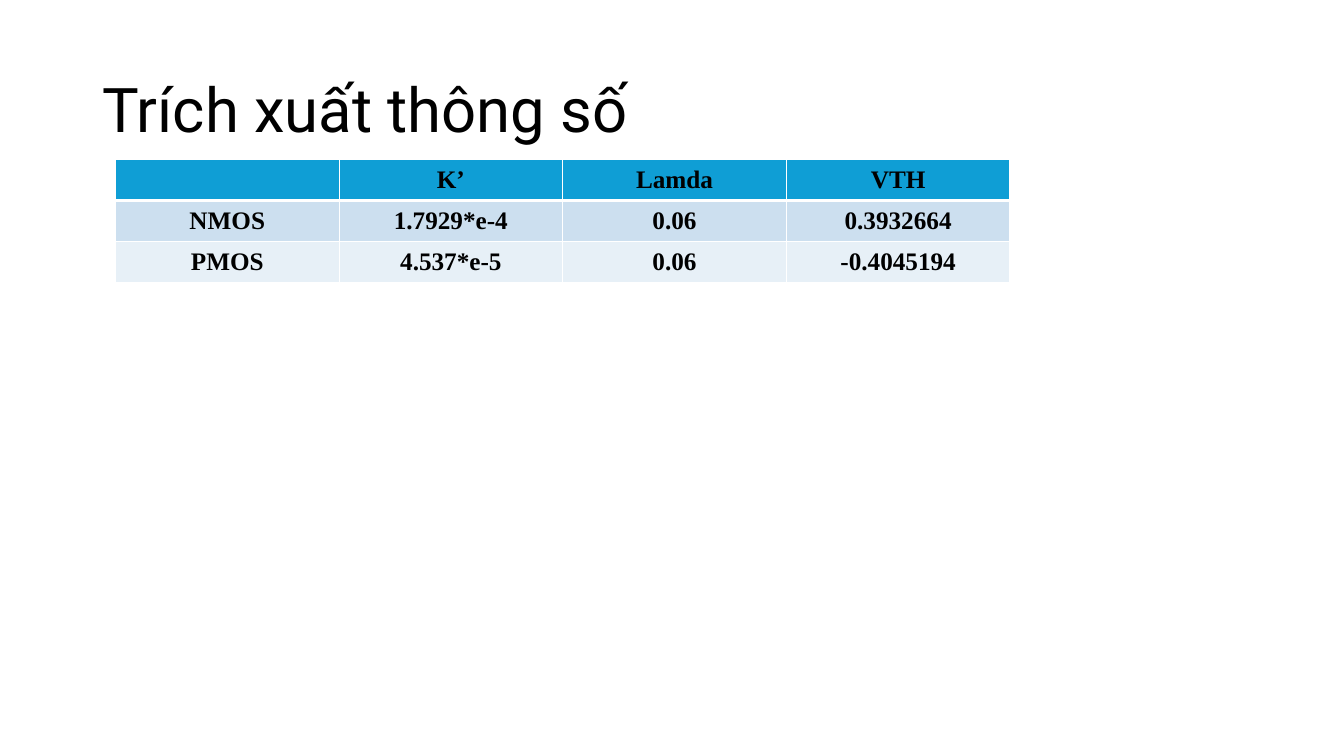
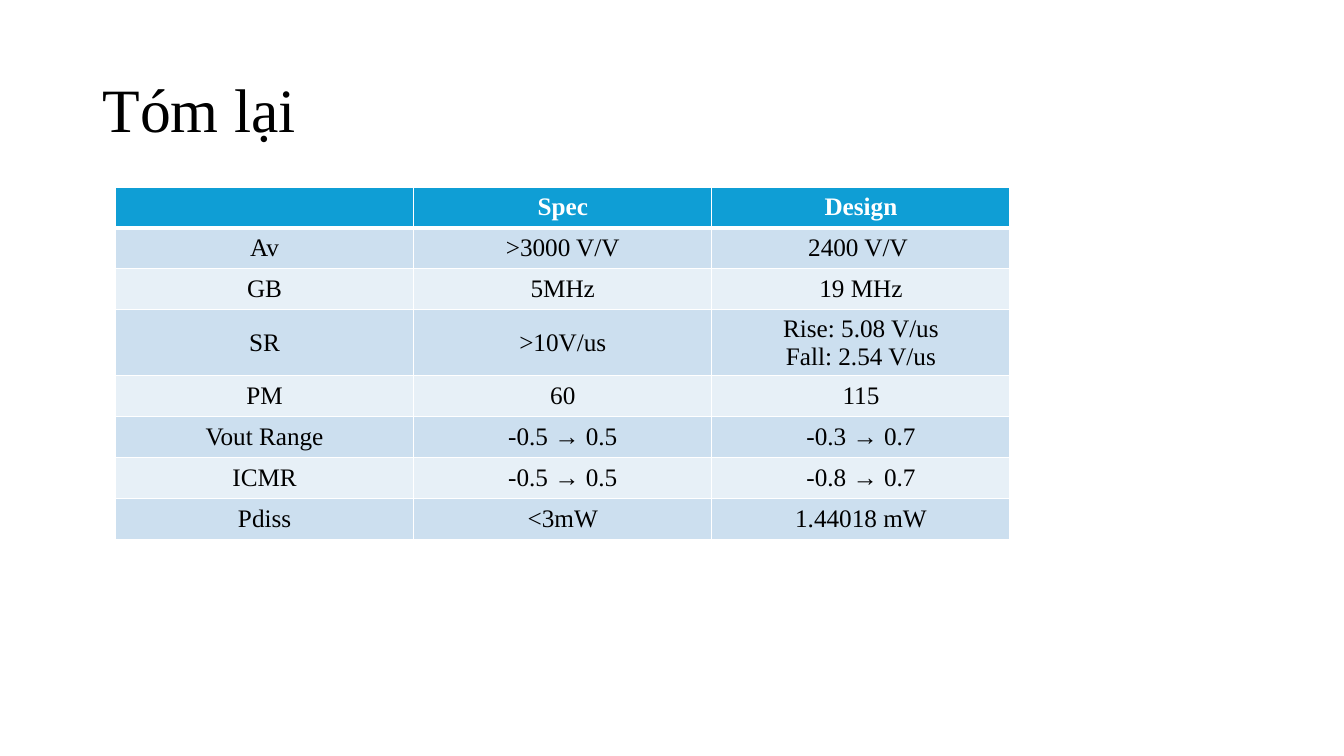
from lxml.etree import SubElement
from pptx import Presentation
from pptx.dml.color import RGBColor
from pptx.enum.text import MSO_ANCHOR, MSO_AUTO_SIZE, PP_ALIGN
from pptx.oxml.ns import qn
from pptx.util import Emu, Pt

# Shared style
COLORS = {
    "text": "000000",
    "white": "FFFFFF",
    "header": "0F9ED5",
    "band_dark": "CCDFEF",
    "band_light": "E7F0F7",
}
SERIF = "Times New Roman"
SANS = "Roboto"
TITLE_BOX = (88, 38, 1104, 139)
TABLE_LEFT, TABLE_WIDTH, ROW_HEIGHT = 110, 852, 39

# Table contents, header row first
PARAMETERS = [
    ["", "K’", "Lamda", "VTH"],
    ["NMOS", "1.7929*e-4", "0.06", "0.3932664"],
    ["PMOS", "4.537*e-5", "0.06", "-0.4045194"],
]
SUMMARY = [
    ["", "Spec", "Design"],
    ["Av", ">3000 V/V", "2400 V/V "],
    ["GB", "5MHz", "19 MHz"],
    ["SR", ">10V/us", "Rise: 5.08 V/us\nFall: 2.54 V/us"],
    ["PM", "60", "115"],
    ["Vout Range", "-0.5 → 0.5", "-0.3 → 0.7"],
    ["ICMR", "-0.5 → 0.5", "-0.8 → 0.7"],
    ["Pdiss", "<3mW", "1.44018 mW"],
]


def px(n):
    """Lengths are in px, 96 to the inch."""
    return Emu(n * 9525)


def rgb(name):
    return RGBColor.from_string(COLORS[name])


def add_run(p, text, size, font, color, bold=False):
    r = p.add_run()
    r.text = text
    r.font.size = Pt(size)
    r.font.name = font
    r.font.bold = bold
    r.font.color.rgb = rgb(color)


def add_titled_slide(prs, title, font):
    s = prs.slides.add_slide(prs.slide_layouts[5])
    sp = s.shapes.title
    sp.left, sp.top, sp.width, sp.height = map(px, TITLE_BOX)
    tf = sp.text_frame
    tf.word_wrap = True
    tf.auto_size = MSO_AUTO_SIZE.NONE
    tf.vertical_anchor = MSO_ANCHOR.MIDDLE
    p = tf.paragraphs[0]
    p.alignment = PP_ALIGN.LEFT
    p.line_spacing = 0.9
    add_run(p, title, 44, font, "text")
    return s


def set_borders(cell, top, bottom):
    tcPr = cell._tc.get_or_add_tcPr()
    for side, width in (("L", 1), ("R", 1), ("T", top), ("B", bottom)):
        ln = SubElement(tcPr, qn(f"a:ln{side}"), w=str(Pt(width)))
        fill = SubElement(ln, qn("a:solidFill"))
        SubElement(fill, qn("a:srgbClr"), val=COLORS["white"])


def fill_cell(cell, text, row, color, bold):
    # The rule under the header is thicker than the others
    set_borders(cell, top=3 if row == 1 else 1, bottom=3 if row == 0 else 1)
    band = "header" if row == 0 else "band_dark" if row % 2 else "band_light"
    cell.fill.solid()
    cell.fill.fore_color.rgb = rgb(band)
    cell.vertical_anchor = MSO_ANCHOR.MIDDLE
    tf = cell.text_frame
    for i, line in enumerate(text.splitlines()):
        p = tf.add_paragraph() if i else tf.paragraphs[0]
        p.alignment = PP_ALIGN.CENTER
        add_run(p, line, 18, SERIF, color, bold)


def add_data_table(s, top, rows, header_color, bold_body):
    n_rows, n_cols = len(rows), len(rows[0])
    table = s.shapes.add_table(
        n_rows, n_cols, px(TABLE_LEFT), px(top),
        px(TABLE_WIDTH), px(ROW_HEIGHT * n_rows)).table
    for i, row in enumerate(rows):
        color = "text" if i else header_color
        for j, text in enumerate(row):
            fill_cell(table.cell(i, j), text, i, color, i == 0 or bold_body)


def main():
    prs = Presentation()
    prs.slide_width, prs.slide_height = px(1280), px(720)

    # Extracted parameters
    s = add_titled_slide(prs, "Trích xuất thông số", SANS)
    add_data_table(s, 152, PARAMETERS, "text", bold_body=True)

    # Summary
    s = add_titled_slide(prs, "Tóm lại", SERIF)
    add_data_table(s, 178, SUMMARY, "white", bold_body=False)

    prs.save("out.pptx")


if __name__ == "__main__":
    main()
